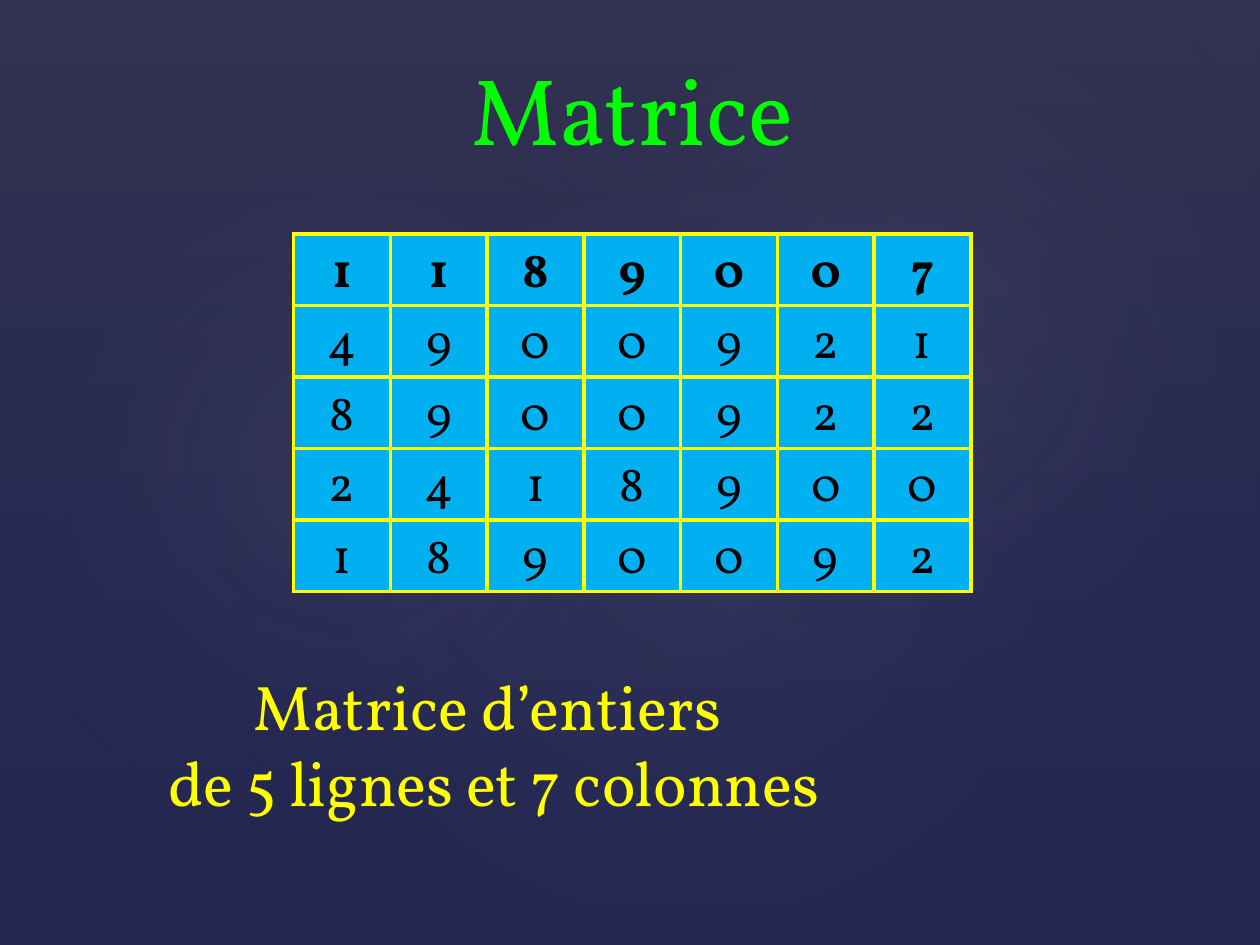
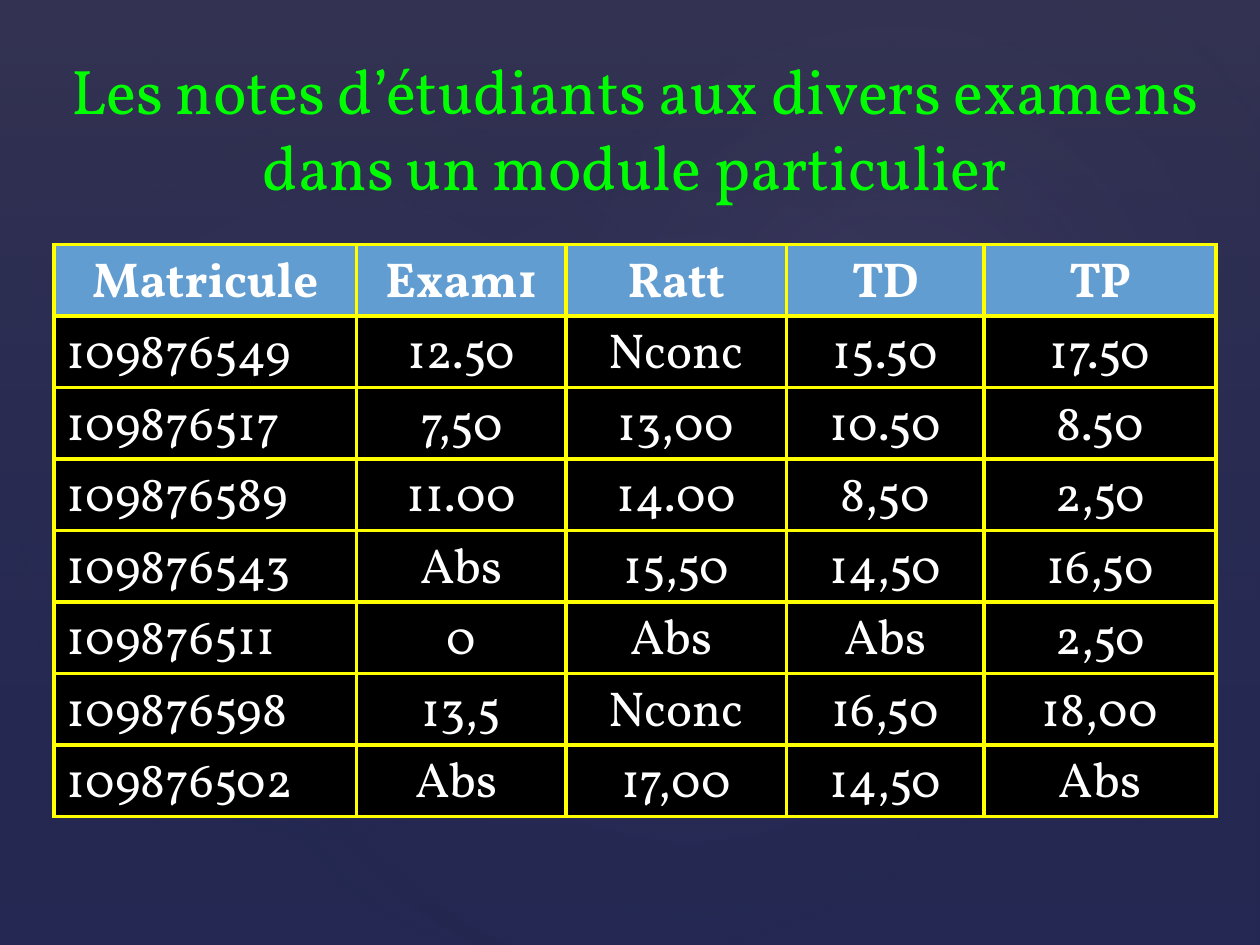
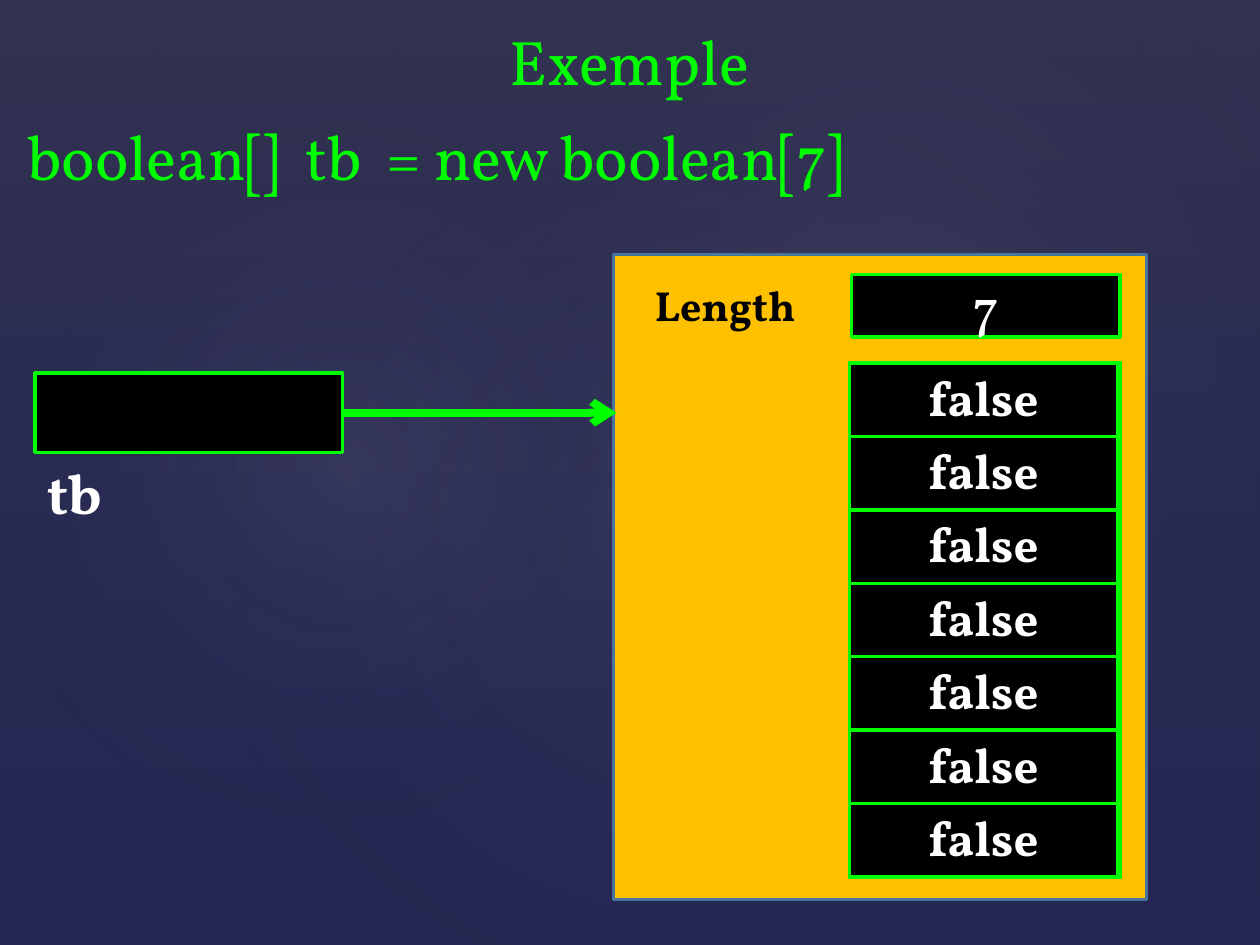
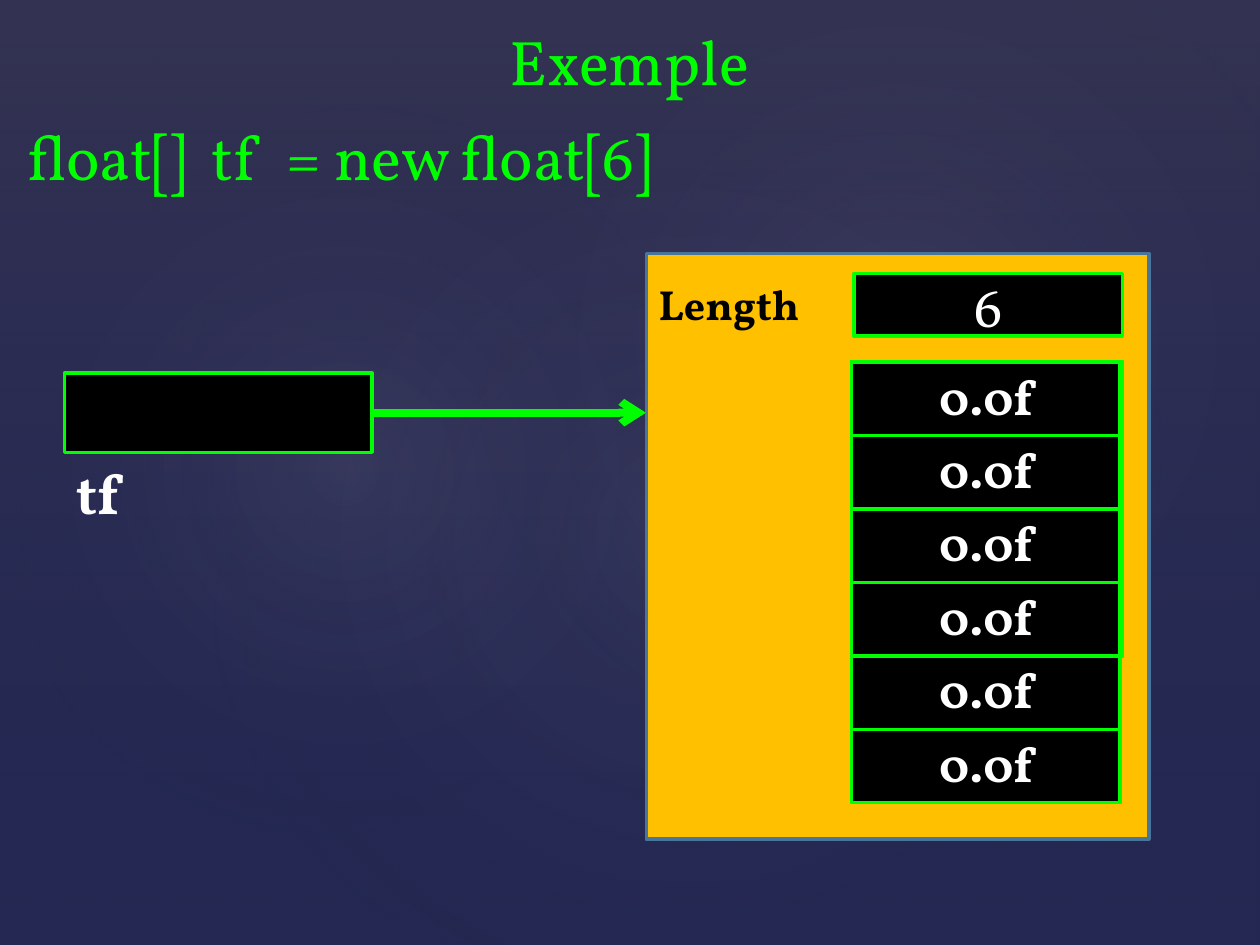
from pptx import Presentation
from pptx.dml.color import RGBColor
from pptx.enum import shapes, text
from pptx.oxml import parse_xml
from pptx.oxml.ns import qn
from pptx.util import Cm, Pt

# Shared style
FONT = "Vollkorn"
NIGHT, GREEN, YELLOW = "242852", "00FF00", "FFFF00"
BLACK, WHITE, SKY, STEEL = "000000", "FFFFFF", "00B0F0", "629DD1"
AMBER, SLATE = "FFC000", "49749B"
WIDTH, HEIGHT = 25.4, 19.05
TEXT_WIDTH = 24.77
ROW, ARRAY_ROW = 1.44, 1.48
CENTER, LEFT = text.PP_ALIGN.CENTER, text.PP_ALIGN.LEFT
NAMESPACE = 'xmlns:a="http://schemas.openxmlformats.org/drawingml/2006/main"'

# Backdrop glows: left, top, width, height, rotation, opacity in percent
GLOWS = [
    (3.81, 2.9, 20.12, 15.85, 328.7, 7),
    (-0.76, 3.25, 15.39, 12.45, 294.3, 8),
    (9.09, 0.33, 18.01, 13.21, 328.7, 8),
]

# Content
MATRIX = [
    [1, 1, 8, 9, 0, 0, 7],
    [4, 9, 0, 0, 9, 2, 1],
    [8, 9, 0, 0, 9, 2, 2],
    [2, 4, 1, 8, 9, 0, 0],
    [1, 8, 9, 0, 0, 9, 2],
]
MATRIX_CAPTION = "Matrice d’entiers \nde 5 lignes et 7 colonnes"
GRADES_TITLE = "Les notes d’étudiants aux divers examens dans un module particulier"
GRADES = [
    ["Matricule", "Exam1", "Ratt", "TD", "TP"],
    ["109876549", "12.50", "Nconc", "15.50", "17.50"],
    ["109876517", "7,50", "13,00", "10.50", "8.50"],
    ["109876589", "11.00", "14.00", "8,50", "2,50"],
    ["109876543", "Abs", "15,50", "14,50", "16,50"],
    ["109876511", "0", "Abs ", "Abs", "2,50"],
    ["109876598", "13,5", "Nconc", "16,50", "18,00"],
    ["109876502", "Abs ", "17,00", "14,50", "Abs"],
]
GRADE_COLUMNS = [6.1, 4.22, 4.44, 3.99, 4.67]
ARRAYS = [
    dict(code="boolean[]  tb  = new boolean[7]", name="tb", value="false",
         length=7, back_rows=7, panel=(12.37, 5.13, 10.74, 13.0),
         cells_left=17.17, label_left=12.95, variable_left=0.71),
    dict(code="float[]  tf  = new float[6]", name="tf", value="0.0f",
         length=6, back_rows=4, panel=(13.03, 5.11, 10.13, 11.81),
         cells_left=17.22, label_left=13.03, variable_left=1.3),
]


def rgb(value):
    return RGBColor.from_string(value)


def place(shape, box):
    shape.left, shape.top, shape.width, shape.height = map(Cm, box)


def write(frame, content, size, color, bold=False, align=LEFT):
    frame.text = content
    for paragraph in frame.paragraphs:
        paragraph.alignment = align
        for run in paragraph.runs:
            font = run.font
            font.name, font.size, font.bold = FONT, Pt(size), bold
            font.color.rgb = rgb(color)


def add_text(container, box, content, size, color, bold=False, align=LEFT):
    shape = container.add_textbox(*map(Cm, box))
    write(shape.text_frame, content, size, color, bold, align)
    shape.text_frame.word_wrap = True
    shape.text_frame.auto_size = text.MSO_AUTO_SIZE.SHAPE_TO_FIT_TEXT


def add_box(container, box, fill, line):
    shape = container.add_shape(shapes.MSO_SHAPE.RECTANGLE, *map(Cm, box))
    shape.shadow.inherit = False
    shape.fill.solid()
    shape.fill.fore_color.rgb = rgb(fill)
    shape.line.color.rgb = rgb(line)
    shape.line.width = Pt(2)
    return shape


def add_arrow(container, start, end, y):
    arrow = container.add_connector(
        shapes.MSO_CONNECTOR.STRAIGHT, Cm(start), Cm(y), Cm(end), Cm(y))
    arrow.line.color.rgb = rgb(GREEN)
    arrow.line.width = Pt(4.5)
    arrow.line._get_or_add_ln().append(
        parse_xml(f'<a:tailEnd {NAMESPACE} type="arrow"/>'))
    arrow.element.spPr.append(parse_xml(f"<a:effectLst {NAMESPACE}/>"))


def add_grid(slide, left, top, columns, row_height, rows, border, fill, color,
             header_fill=None, bold_rows=1, first_align=CENTER):
    frame = slide.shapes.add_table(
        len(rows), len(columns), Cm(left), Cm(top),
        Cm(sum(columns)), Cm(row_height * len(rows)))
    table = frame.table
    table.horz_banding = False
    for column, width in zip(table.columns, columns):
        column.width = Cm(width)
    for r, values in enumerate(rows):
        table.rows[r].height = Cm(row_height)
        for c, value in enumerate(values):
            cell = table.cell(r, c)
            cell.fill.solid()
            cell.fill.fore_color.rgb = rgb(header_fill if header_fill and r == 0 else fill)
            align = first_align if c == 0 and r > 0 else CENTER
            if value != "":
                write(cell.text_frame, str(value), 28, color, r < bold_rows, align)
            properties = cell._tc.get_or_add_tcPr()
            for i, side in enumerate("LRTB"):
                properties.insert(i, parse_xml(
                    f'<a:ln{side} {NAMESPACE} w="{Pt(2.25)}"><a:solidFill>'
                    f'<a:srgbClr val="{border}"/></a:solidFill></a:ln{side}>'))


def add_slide(title, box, size):
    slide = presentation.slides.add_slide(title_only)
    shape = slide.shapes.title
    place(shape, box)
    frame = shape.text_frame
    write(frame, title, size, GREEN, align=CENTER)
    frame.vertical_anchor = text.MSO_ANCHOR.TOP
    frame.word_wrap = True
    frame.auto_size = text.MSO_AUTO_SIZE.SHAPE_TO_FIT_TEXT
    return slide


def add_backdrop(slide, master):
    """Draw the tinted background and hand it over to the master."""
    def layer(kind, box, rotation, stops, direction):
        shape = slide.shapes.add_shape(kind, *map(Cm, box))
        shape.rotation = rotation
        shape.shadow.inherit = False
        shape.line.fill.background()
        shape.fill.background()
        colors = "".join(
            f'<a:gs pos="{position * 1000}"><a:srgbClr val="{color}">'
            f'<a:alpha val="{opacity * 1000}"/></a:srgbClr></a:gs>'
            for position, color, opacity in stops)
        properties = shape.element.spPr
        properties.replace(properties.find(qn("a:noFill")), parse_xml(
            f'<a:gradFill {NAMESPACE} rotWithShape="1"><a:gsLst>{colors}</a:gsLst>'
            f"{direction}</a:gradFill>"))
        return shape.element

    side = 50000
    circle = (f'<a:path path="circle"><a:fillToRect l="{side}" t="{side}" '
              f'r="{side}" b="{side}"/></a:path>')
    layers = [layer(shapes.MSO_SHAPE.RECTANGLE, (0, 0, WIDTH, HEIGHT), 0,
                    [(0, "504652", 36), (100, NIGHT, 10)],
                    '<a:lin ang="5400000" scaled="0"/>')]
    for *box, rotation, opacity in GLOWS:
        layers.append(layer(shapes.MSO_SHAPE.OVAL, box, rotation,
                            [(0, "C4BCC6", opacity), (58, NIGHT, 0)], circle))
    for i, element in enumerate(layers):
        master.shapes.element.insert(2 + i, element)
    master.background.fill.solid()
    master.background.fill.fore_color.rgb = rgb(NIGHT)


def add_array_slide(array):
    slide = add_slide("Exemple", (0.3, 0.33, TEXT_WIDTH, 1.8), 36)
    add_text(slide.shapes, (0.3, 2.24, TEXT_WIDTH, 1.8), array["code"], 36, GREEN)

    # Array object with its length and cells
    panel_left, panel_top = array["panel"][:2]
    left, top, width = array["cells_left"], panel_top + 0.4, 5.41
    add_box(slide.shapes, array["panel"], AMBER, SLATE)
    length = add_box(slide.shapes, (left, top, width, 1.27), BLACK, GREEN)
    write(length.text_frame, str(array["length"]), 32, WHITE, align=CENTER)
    length.text_frame.vertical_anchor = text.MSO_ANCHOR.MIDDLE
    add_text(slide.shapes, (array["label_left"], top - 0.03, 4.39, 1.27),
             "Length", 24, BLACK, bold=True)
    for x, value, count in [(left, "", array["back_rows"]),
                            (left - 0.05, array["value"], array["length"])]:
        add_grid(slide, x, top + 1.79, [width], ARRAY_ROW, [[value]] * count,
                 GREEN, BLACK, WHITE, bold_rows=count)

    # Variable that refers to the array
    variable = slide.shapes.add_group_shape().shapes
    start, box_top, box_width, box_height = array["variable_left"], 7.52, 6.2, 1.6
    add_box(variable, (start, box_top, box_width, box_height), BLACK, GREEN)
    add_text(variable, (start, box_top + box_height, 4.39, 1.63),
             array["name"], 32, WHITE, bold=True)
    add_arrow(variable, start + box_width, start + box_width + 5.52,
              box_top + box_height / 2)


presentation = Presentation()
presentation.slide_width, presentation.slide_height = Cm(WIDTH), Cm(HEIGHT)
title_only = presentation.slide_layouts[5]

# Matrix
slide = add_slide("Matrice", (0.36, 0.91, TEXT_WIDTH, 2.57), 54)
add_backdrop(slide, presentation.slide_master)
add_grid(slide, 5.92, 4.72, [1.95] * 7, ROW, MATRIX, YELLOW, SKY, BLACK)
add_text(slide.shapes, (0.61, 13.34, 18.69, 3.33), MATRIX_CAPTION, 36, YELLOW,
         align=CENTER)

# Grades
slide = add_slide(GRADES_TITLE, (0.41, 0.91, TEXT_WIDTH, 3.33), 36)
add_grid(slide, 1.09, 4.93, GRADE_COLUMNS, ROW, GRADES, YELLOW, BLACK, WHITE,
         header_fill=STEEL, first_align=LEFT)

# Arrays in memory
for array in ARRAYS:
    add_array_slide(array)

presentation.save("out.pptx")
